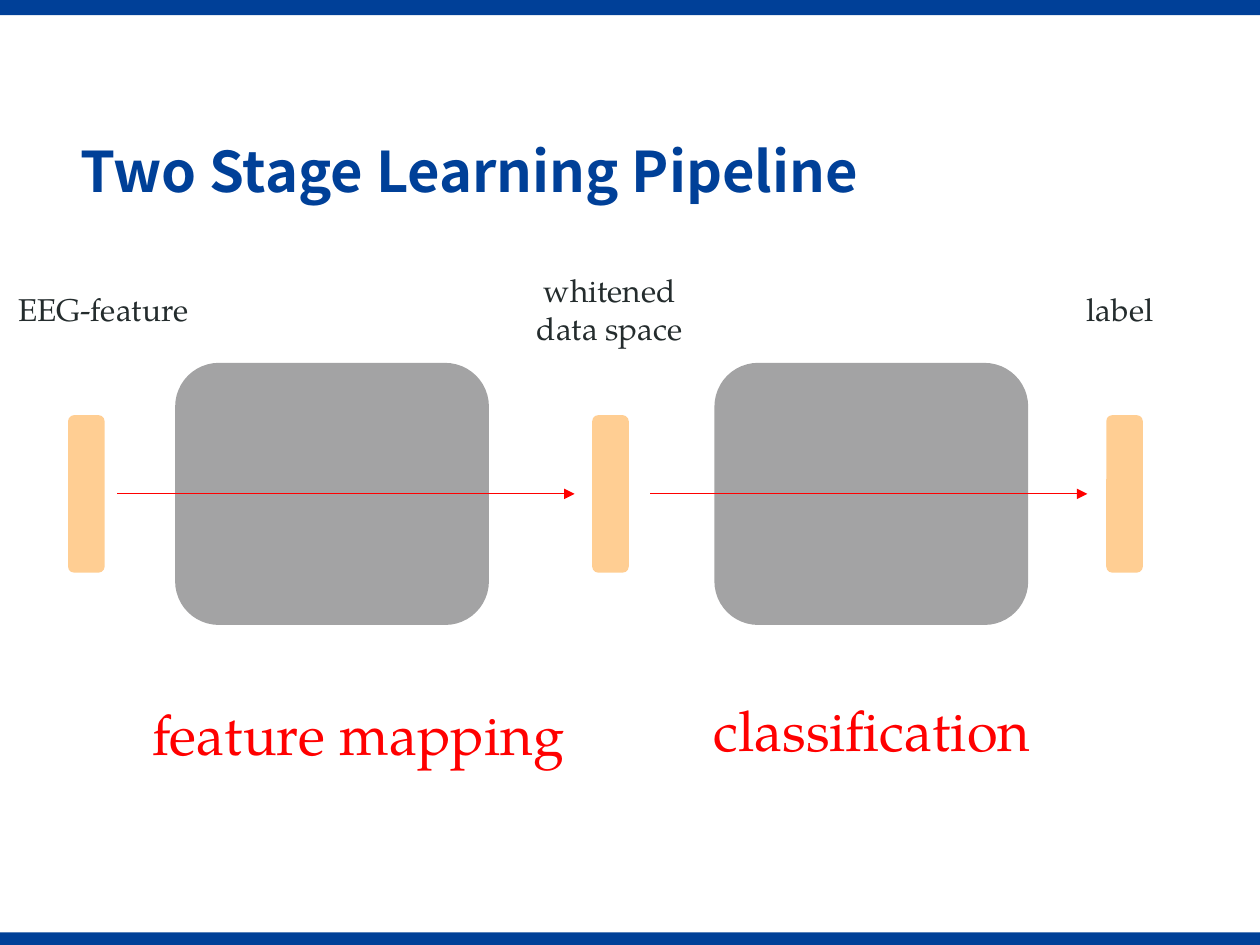
import pptx
import pptx.dml.color
import pptx.enum.shapes
import pptx.enum.text
import pptx.oxml.ns
import pptx.util
from lxml import etree

Inches = pptx.util.Inches
Pt = pptx.util.Pt
SHAPES = pptx.enum.shapes.MSO_SHAPE

COLORS = {"blue": "004098", "bar": "FFCE93", "stage": "A3A3A4",
          "text": "242C2D", "red": "FF0000"}
TITLE_FONT = "Noto Sans CJK SC"
BODY_FONT = "TeX Gyre Pagella"
MIDLINE = 3.92


def rgb(name):
    return pptx.dml.color.RGBColor.from_string(COLORS[name])


def add_block(slide, kind, left, top, width, height, color):
    block = slide.shapes.add_shape(kind, Inches(left), Inches(top),
                                   Inches(width), Inches(height))
    block.shadow.inherit = False
    block.fill.solid()
    block.fill.fore_color.rgb = rgb(color)
    block.line.fill.background()


def add_centered_block(slide, left, width, height, color):
    """Rounded block centred vertically on the pipeline's midline."""
    add_block(slide, SHAPES.ROUNDED_RECTANGLE, left, MIDLINE - height / 2,
              width, height, color)


def add_run(paragraph, text, size, font, color, bold=False):
    run = paragraph.add_run()
    run.text = text
    run.font.size = Pt(size)
    run.font.name = font
    run.font.bold = bold
    run.font.color.rgb = rgb(color)


def add_caption(slide, text, left, top, width, height, size, color):
    caption = slide.shapes.add_textbox(Inches(left), Inches(top),
                                       Inches(width), Inches(height))
    frame = caption.text_frame
    frame.word_wrap = True
    frame.auto_size = pptx.enum.text.MSO_AUTO_SIZE.SHAPE_TO_FIT_TEXT
    paragraph = frame.paragraphs[0]
    paragraph.alignment = pptx.enum.text.PP_ALIGN.CENTER
    add_run(paragraph, text, size, BODY_FONT, color)


def add_arrow(slide, start, end):
    arrow = slide.shapes.add_connector(
        pptx.enum.shapes.MSO_CONNECTOR.STRAIGHT,
        Inches(start), Inches(MIDLINE), Inches(end), Inches(MIDLINE))
    arrow.line.color.rgb = rgb("red")
    arrow.line.width = Pt(0.5)
    qn = pptx.oxml.ns.qn
    etree.SubElement(arrow.line._get_or_add_ln(), qn("a:tailEnd"),
                     type="triangle")
    etree.SubElement(arrow._element.spPr, qn("a:effectLst"))


def add_frame(slide):
    """Blue bands along the bottom and top edges."""
    for top, height in ((7.4, 0.1), (0, 0.12)):
        add_block(slide, SHAPES.RECTANGLE, 0, top, 10, height, "blue")


def add_title(slide, left, top, width, height):
    title = slide.shapes.title
    title.left, title.top = Inches(left), Inches(top)
    title.width, title.height = Inches(width), Inches(height)
    frame = title.text_frame
    frame.word_wrap = True
    frame.vertical_anchor = pptx.enum.text.MSO_ANCHOR.MIDDLE
    paragraph = frame.paragraphs[0]
    paragraph.alignment = pptx.enum.text.PP_ALIGN.LEFT
    paragraph.line_spacing = 0.9
    add_run(paragraph, "Two Stage Learning Pipeline", 32, TITLE_FONT,
            "blue", bold=True)


def add_pipeline(slide, left):
    """Data bars with two stages between them, starting at the left edge."""
    for offset in (0, 4.16, 8.24):
        add_centered_block(slide, left + offset, 0.29, 1.25, "bar")
    for offset in (0.85, 5.13):
        add_centered_block(slide, left + offset, 2.49, 2.08, "stage")
    for start, end in ((0.39, 4.02), (4.62, 8.09)):
        add_arrow(slide, left + start, left + end)


def add_captions(slide):
    data_captions = (("EEG-feature", -0.12, 2.25, 1.88, 0.4),
                     ("whitened data space", 4.02, 2.1, 1.64, 0.71),
                     ("label", 8.27, 2.25, 1.24, 0.4))
    for caption in data_captions:
        add_caption(slide, *caption, 18, "text")
    stage_captions = (("feature mapping", 0.72, 5.5, 4.25, 0.64),
                      ("classification", 5.37, 5.47, 3.1, 0.64))
    for caption in stage_captions:
        add_caption(slide, *caption, 32, "red")


def main():
    deck = pptx.Presentation()
    deck.slide_width, deck.slide_height = Inches(10), Inches(7.5)
    slide = deck.slides.add_slide(deck.slide_layouts[5])
    add_frame(slide)
    add_title(slide, 0.54, 1.07, 9.16, 0.63)
    add_pipeline(slide, 0.54)
    add_captions(slide)
    deck.save("out.pptx")


if __name__ == "__main__":
    main()
